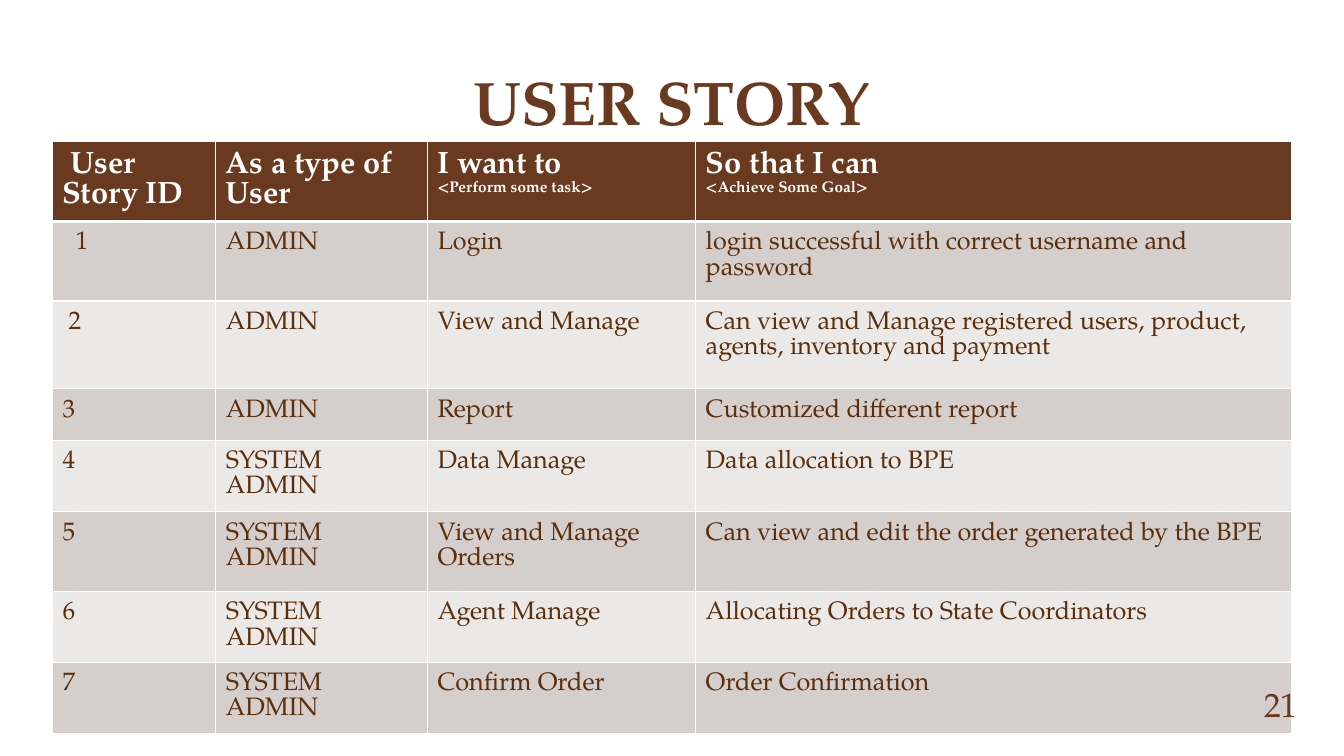
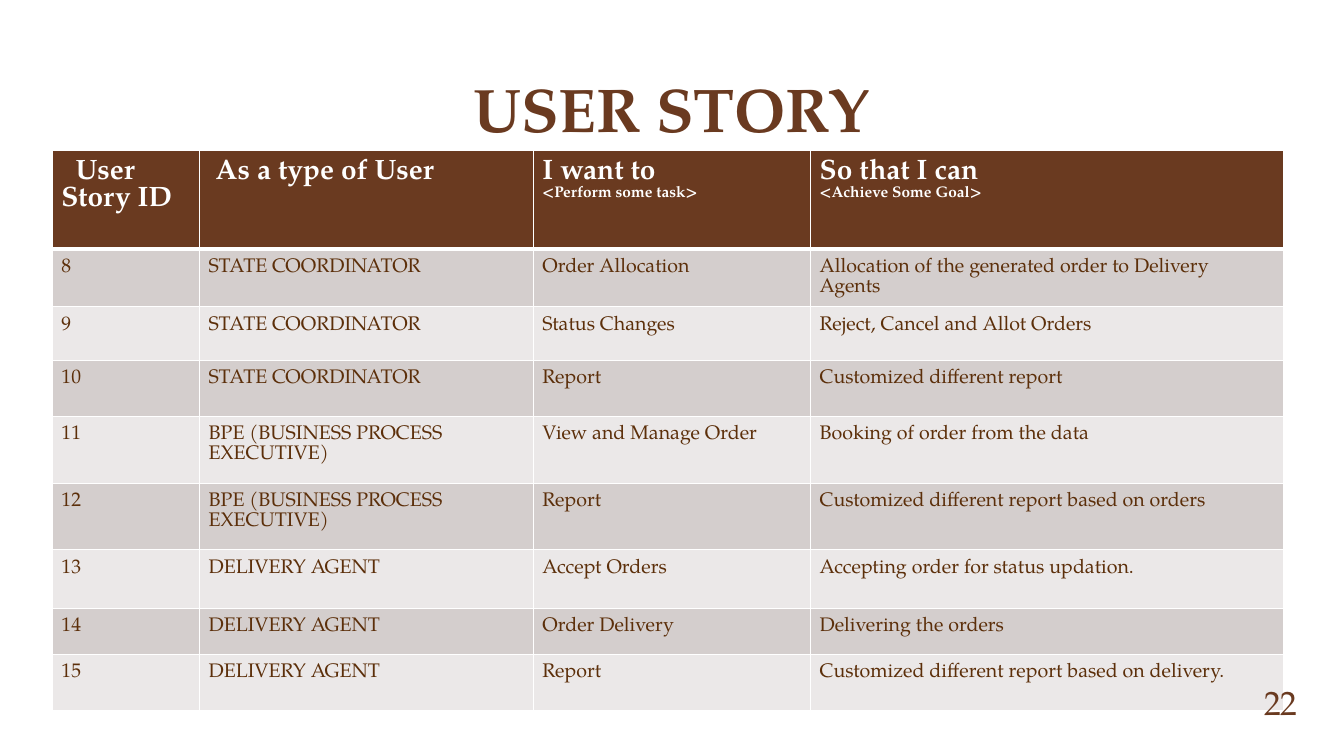
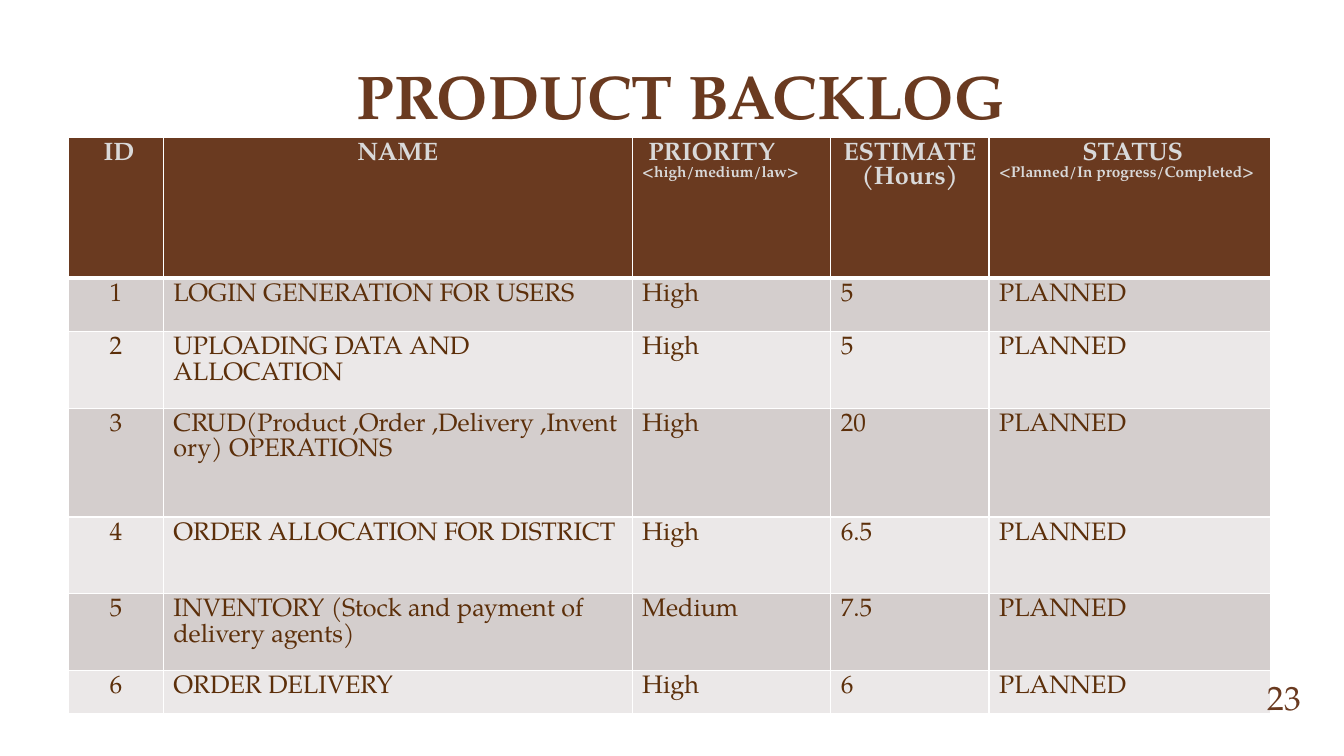
from pptx import Presentation
from pptx.dml.color import RGBColor
from pptx.enum import text as t
from pptx.oxml.ns import qn
from pptx.util import Inches, Pt
from lxml import etree

FONT = "TeX Gyre Pagella"
BROWN = RGBColor(0x6A, 0x3A, 0x20)
DARK = RGBColor(0x5C, 0x2F, 0x0A)
WHITE = RGBColor(0xFF, 0xFF, 0xFF)
PALE = RGBColor(0xD9, 0xD9, 0xD9)
BANDS = [RGBColor(0xEB, 0xE8, 0xE8), RGBColor(0xD4, 0xCE, 0xCD)]
LEFT, MID, RIGHT = t.PP_ALIGN.LEFT, t.PP_ALIGN.CENTER, t.PP_ALIGN.RIGHT
HINT = 11


class Deck:
    """Holds the shared style and the slide being built."""

    def __init__(self):
        self.prs = Presentation()
        self.prs.slide_width = Inches(13.33)
        self.prs.slide_height = Inches(7.5)
        self.slide = None

    def page(self):
        self.slide = self.prs.slides.add_slide(self.prs.slide_layouts[5])

    def label(self, para, words, size, color, bold=False, align=LEFT):
        para.alignment = align
        run = para.add_run()
        run.text = words
        run.font.color.rgb = color
        look = {"name": FONT, "size": Pt(size), "bold": bold}
        for key, val in look.items():
            setattr(run.font, key, val)

    def frame(self, shape, anchor):
        look = {"word_wrap": True, "auto_size": t.MSO_AUTO_SIZE.NONE,
                "vertical_anchor": anchor}
        for key, val in look.items():
            setattr(shape.text_frame, key, val)
        return shape.text_frame.paragraphs[0]

    def title(self, words, left, top, high):
        shape = self.slide.shapes.title
        box = {"left": left, "top": top, "width": 10.66, "height": high}
        for key, val in box.items():
            setattr(shape, key, Inches(val))
        para = self.frame(shape, t.MSO_ANCHOR.BOTTOM)
        self.label(para, words, 44, BROWN, True, MID)

    def number(self, num, left, top):
        box = self.slide.shapes.add_textbox(
            Inches(left), Inches(top), Inches(0.78), Inches(0.33))
        para = self.frame(box, t.MSO_ANCHOR.MIDDLE)
        self.label(para, str(num), 24, BROWN, align=RIGHT)

    def edges(self, cell, row):
        """White cell borders, thick under the header row."""
        wide = {"L": 1, "R": 1, "T": 3 if row == 1 else 1,
                "B": 3 if row == 0 else 1}
        prop = cell._tc.get_or_add_tcPr()
        for side, pts in wide.items():
            line = etree.SubElement(prop, qn("a:ln" + side), w=str(Pt(pts)))
            fill = etree.SubElement(line, qn("a:solidFill"))
            etree.SubElement(fill, qn("a:srgbClr"), val=str(WHITE))

    def table(self, rows, left, top, cols, highs, head, body, pad,
              ink=WHITE, mids=(), dents=None):
        """mids: centred cells; dents: first-line indents, both by (row, col)."""
        dents = dents or {}
        grid = self.slide.shapes.add_table(
            len(rows), len(cols), Inches(left), Inches(top),
            Inches(sum(cols)), Inches(sum(highs))).table
        for col, wide in zip(grid.columns, cols):
            col.width = Inches(wide)
        for r, row in enumerate(rows):
            grid.rows[r].height = Inches(highs[r])
            for c, words in enumerate(row):
                cell = grid.cell(r, c)
                self.edges(cell, r)
                cell.fill.solid()
                cell.fill.fore_color.rgb = BANDS[r % 2] if r else BROWN
                for side, gap in zip(("left", "right", "top", "bottom"), pad):
                    setattr(cell, "margin_" + side, Inches(gap))
                for n, line in enumerate(words.split("\n")):
                    para = (cell.text_frame.add_paragraph() if n
                            else cell.text_frame.paragraphs[0])
                    size = HINT if line.startswith("<") else body if r else head
                    align = MID if (r, c) in mids and not n else LEFT
                    self.label(para, line, size, DARK if r else ink,
                               not r, align)
                    if (r, c) in dents and not n:
                        para._p.get_or_add_pPr().set(
                            "indent", str(Inches(dents[r, c])))


STORY = ["User Story ID", "As a type of User",
         "I want to\n<Perform some task>", "So that I can\n<Achieve Some Goal>"]
ADMIN, SYSTEM = "ADMIN", "SYSTEM ADMIN"
STATE, AGENT = "STATE COORDINATOR", "DELIVERY AGENT"
BPE = "BPE (BUSINESS PROCESS EXECUTIVE)"
REPORT = "Customized different report"

FIRST = [
    (ADMIN, "Login", "login successful with correct username and password"),
    (ADMIN, "View and Manage", "Can view and Manage registered users, product, "
     "agents, inventory and payment"),
    (ADMIN, "Report", REPORT),
    (SYSTEM, "Data Manage", "Data allocation to BPE"),
    (SYSTEM, "View and Manage Orders",
     "Can view and edit the order generated by the BPE"),
    (SYSTEM, "Agent Manage", "Allocating Orders to State Coordinators"),
    (SYSTEM, "Confirm Order", "Order Confirmation"),
]
SECOND = [
    (STATE, "Order Allocation",
     "Allocation of the generated order to Delivery Agents"),
    (STATE, "Status Changes", "Reject, Cancel and Allot Orders"),
    (STATE, "Report", REPORT),
    (BPE, "View and Manage Order", "Booking of order from the data"),
    (BPE, "Report", REPORT + " based on orders"),
    (AGENT, "Accept Orders", "Accepting order for status updation."),
    (AGENT, "Order Delivery", "Delivering the orders"),
    (AGENT, "Report", REPORT + " based on delivery."),
]
TASKS = [
    ("LOGIN GENERATION FOR USERS", "High", "5"),
    ("UPLOADING DATA AND ALLOCATION", "High", "5"),
    ("CRUD(Product ,Order ,Delivery ,Inventory) OPERATIONS", "High", "20"),
    ("ORDER ALLOCATION FOR DISTRICT", "High", "6.5"),
    ("INVENTORY (Stock and payment of delivery agents)", "Medium", "7.5"),
    ("ORDER DELIVERY", "High", "6"),
]
BACKLOG = ["ID", "NAME", "PRIORITY\n<high/medium/law>", "ESTIMATE (Hours)",
           "STATUS\n<Planned/In progress/Completed>"]


def count(rows, start=1):
    """Puts a running ID before each row."""
    return [[str(n), *row] for n, row in enumerate(rows, start)]


def main():
    deck = Deck()

    deck.page()
    deck.title("USER STORY", 1.33, 0.51, 0.91)
    deck.table([STORY] + count(FIRST), 0.52, 1.4, [1.62, 2.1, 2.66, 5.91],
               [0.79, 0.79, 0.87, 0.51, 0.71, 0.79, 0.7, 0.71], 22, 18,
               [0.1] * 4, dents={(0, 0): 0.08, (1, 0): 0.13, (2, 0): 0.06})
    deck.number(21, 12.19, 6.82)

    deck.page()
    deck.title("USER STORY", 1.33, 0.5, 0.99)
    deck.table([STORY] + count(SECOND, 8), 0.52, 1.49, [1.46, 3.31, 2.75, 4.69],
               [0.98, 0.57, 0.53, 0.56, 0.66, 0.66, 0.58, 0.46, 0.56], 20, 14,
               [0.09] * 4, dents={(0, 0): 0.14, (0, 1): 0.07})
    deck.number(22, 12.19, 6.8)

    deck.page()
    deck.title("PRODUCT BACKLOG", 1.43, 0.45, 0.91)
    tasks = [[*row, "PLANNED"] for row in count(TASKS)]
    mids = [(r, 0) for r in range(7)] + [(0, 1), (0, 3), (0, 4)]
    deck.table([BACKLOG] + tasks, 0.68, 1.36, [0.94, 4.65, 1.97, 1.57, 2.79],
               [1.4, 0.53, 0.76, 1.08, 0.76, 0.76, 0.43], 18, 18,
               [0.1, 0.1, 0.05, 0.05], PALE, mids,
               {(0, c): 0.06 for c in (0, 2, 4)})
    deck.number(23, 12.22, 6.75)

    deck.prs.save("out.pptx")


if __name__ == "__main__":
    main()
